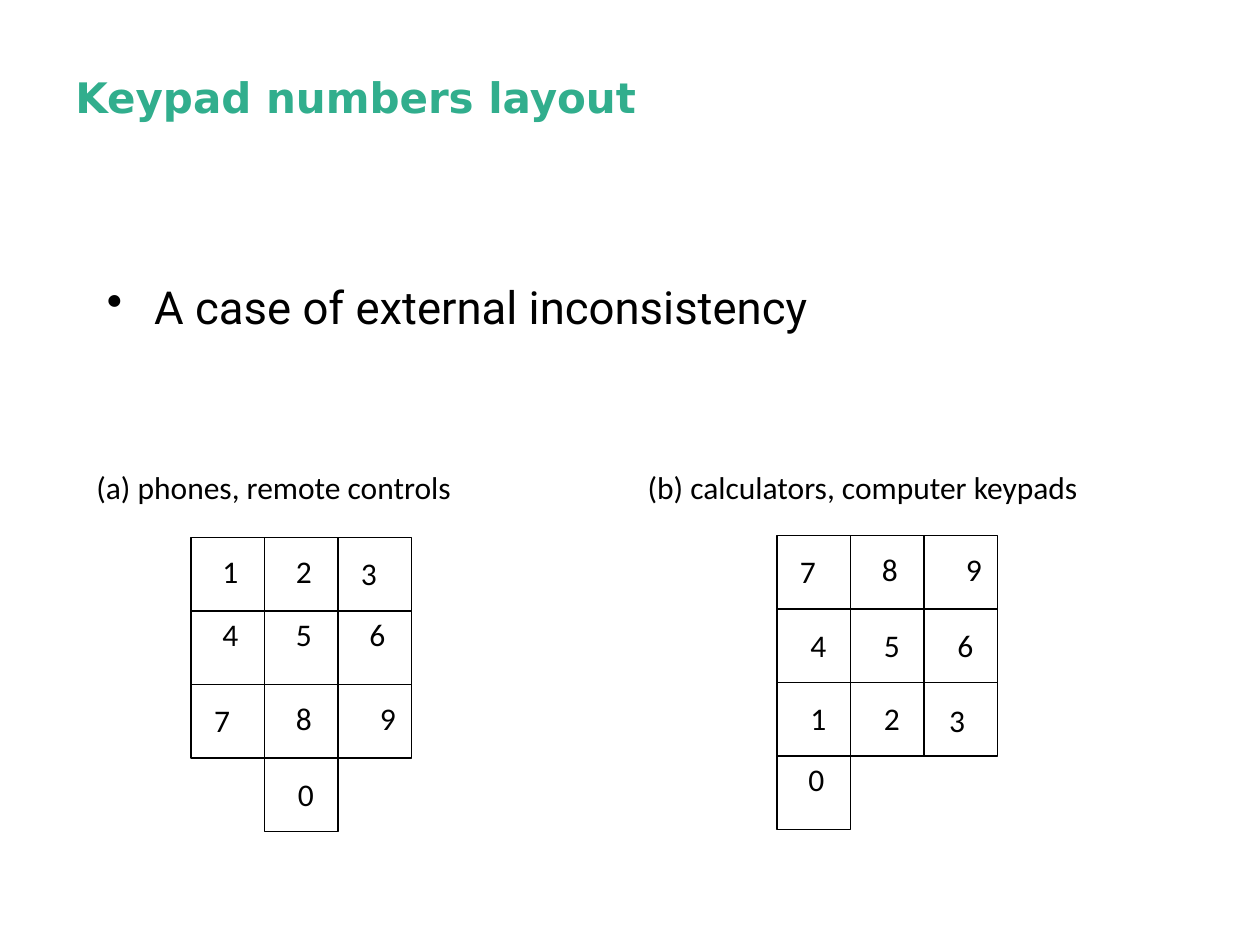
from lxml.etree import SubElement
from pptx import Presentation
from pptx.dml.color import RGBColor
from pptx.enum.shapes import MSO_SHAPE
from pptx.enum.text import MSO_ANCHOR, MSO_AUTO_SIZE
from pptx.oxml.ns import qn
from pptx.util import Emu, Pt

PX = 7620
CELL = 70
DIGIT_SIZE = (44, 60)
BLACK = "000000"

TITLE_FONT = {"name": "DejaVu Sans", "size": Pt(24), "bold": True}
BULLET_FONT = {"name": "Roboto", "size": Pt(26)}
LABEL_FONT = {"name": "Calibri", "size": Pt(18)}

FILLED = {"word_wrap": True}
CENTRED = {"word_wrap": True, "vertical_anchor": MSO_ANCHOR.MIDDLE}
SNUG = {"word_wrap": False, "auto_size": MSO_AUTO_SIZE.SHAPE_TO_FIT_TEXT}

PHONE_KEYS = {
    "1": (0, 0, 18, 8), "2": (1, 0, 18, 8), "3": (2, 0, 10, 10),
    "4": (0, 1, 18, -2), "5": (1, 1, 18, -2), "6": (2, 1, 18, -2),
    "7": (0, 2, 10, 10), "8": (1, 2, 18, 8), "9": (2, 2, 28, 8),
    "0": (1, 3, 20, 10),
}
CALCULATOR_KEYS = {
    "7": (0, 0, 10, 10), "8": (1, 0, 18, 8), "9": (2, 0, 28, 8),
    "4": (0, 1, 20, 10), "5": (1, 1, 20, 10), "6": (2, 1, 20, 10),
    "1": (0, 2, 20, 10), "2": (1, 2, 20, 10), "3": (2, 2, 12, 12),
    "0": (0, 3, 18, -2),
}


def px(*lengths):
    return [Emu(length * PX) for length in lengths]


def paint(color_format, hex_color):
    color_format.rgb = RGBColor.from_string(hex_color)


def apply_format(target, values):
    for attribute, value in values.items():
        setattr(target, attribute, value)


def add_text(slide, box, words, font, frame_format, color=BLACK, hanging=0):
    frame = slide.shapes.add_textbox(*px(*box)).text_frame
    apply_format(frame, frame_format)
    paragraph = frame.paragraphs[0]
    paragraph.text = words
    if hanging:
        properties = paragraph._p.get_or_add_pPr()
        properties.set("marL", str(hanging * PX))
        properties.set("indent", str(-hanging * PX))
        SubElement(properties, qn("a:buChar"), char="•")
    run_font = paragraph.runs[0].font
    apply_format(run_font, font)
    paint(run_font.color, color)


def add_key(slide, left, top):
    key = slide.shapes.add_shape(MSO_SHAPE.RECTANGLE, *px(left, top, CELL, CELL))
    key.shadow.inherit = False
    key.fill.background()
    key.line.width = Pt(0.75)
    paint(key.line.color, BLACK)


def add_keypad(slide, left, top, keys):
    for digit, (column, row, dx, dy) in keys.items():
        key_left = left + column * CELL
        key_top = top + row * CELL
        add_key(slide, key_left, key_top)
        digit_box = (key_left + dx, key_top + dy, *DIGIT_SIZE)
        add_text(slide, digit_box, digit, LABEL_FONT, SNUG)


def add_heading(slide, box):
    add_text(slide, box, "Keypad numbers layout", TITLE_FONT, CENTRED, "31AE8D")


def add_body(slide, box):
    add_text(slide, box, "A case of external inconsistency",
             BULLET_FONT, FILLED, hanging=45)


def add_layout_example(slide, box, caption, keypad_offset, keys):
    left, top = box[:2]
    add_text(slide, box, caption, LABEL_FONT, SNUG)
    add_keypad(slide, left + keypad_offset[0], top + keypad_offset[1], keys)


def main():
    presentation = Presentation()
    presentation.slide_width, presentation.slide_height = px(1200, 900)
    slide = presentation.slides.add_slide(presentation.slide_layouts[6])
    add_heading(slide, (60, 36, 1080, 113))
    add_body(slide, (90, 260, 1050, 540))
    add_layout_example(slide, (80, 440, 462, 60), "(a) phones, remote controls",
                       (102, 72), PHONE_KEYS)
    add_layout_example(slide, (605, 440, 566, 60), "(b) calculators, computer keypads",
                       (135, 70), CALCULATOR_KEYS)
    presentation.save("out.pptx")


if __name__ == "__main__":
    main()
